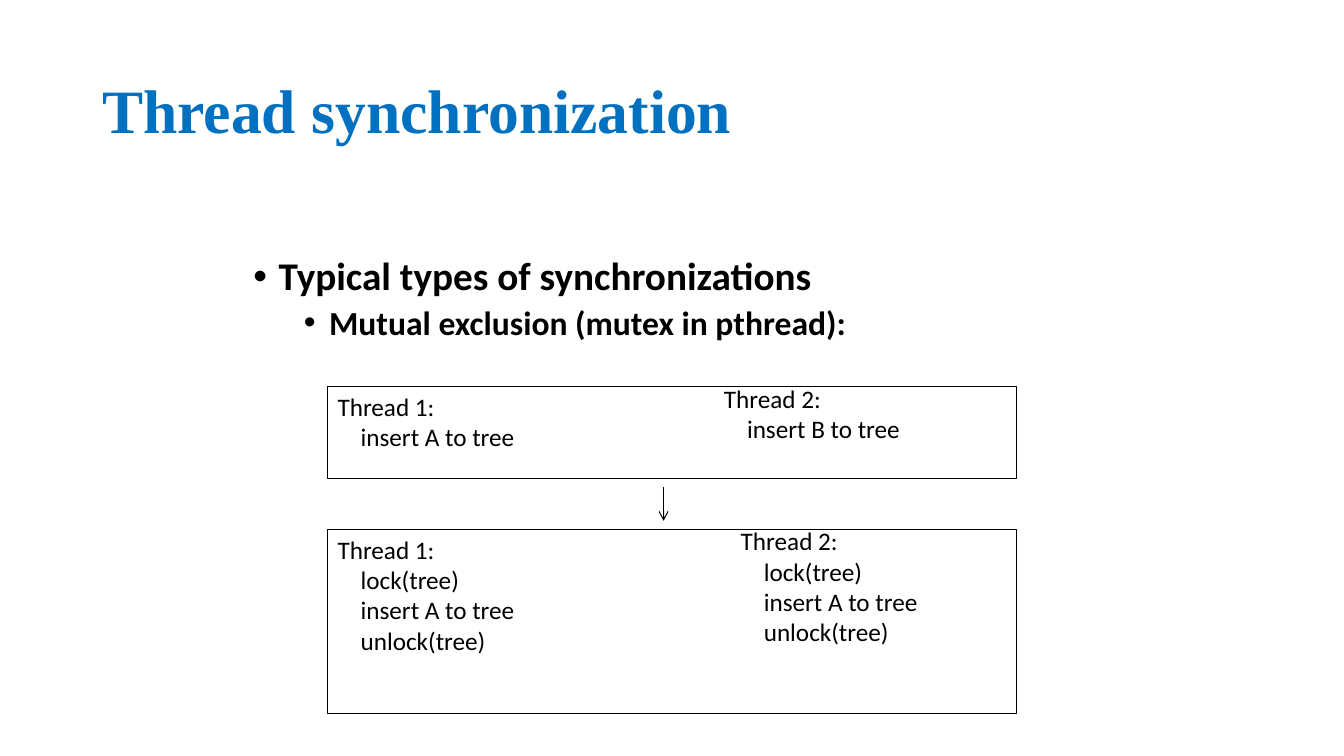
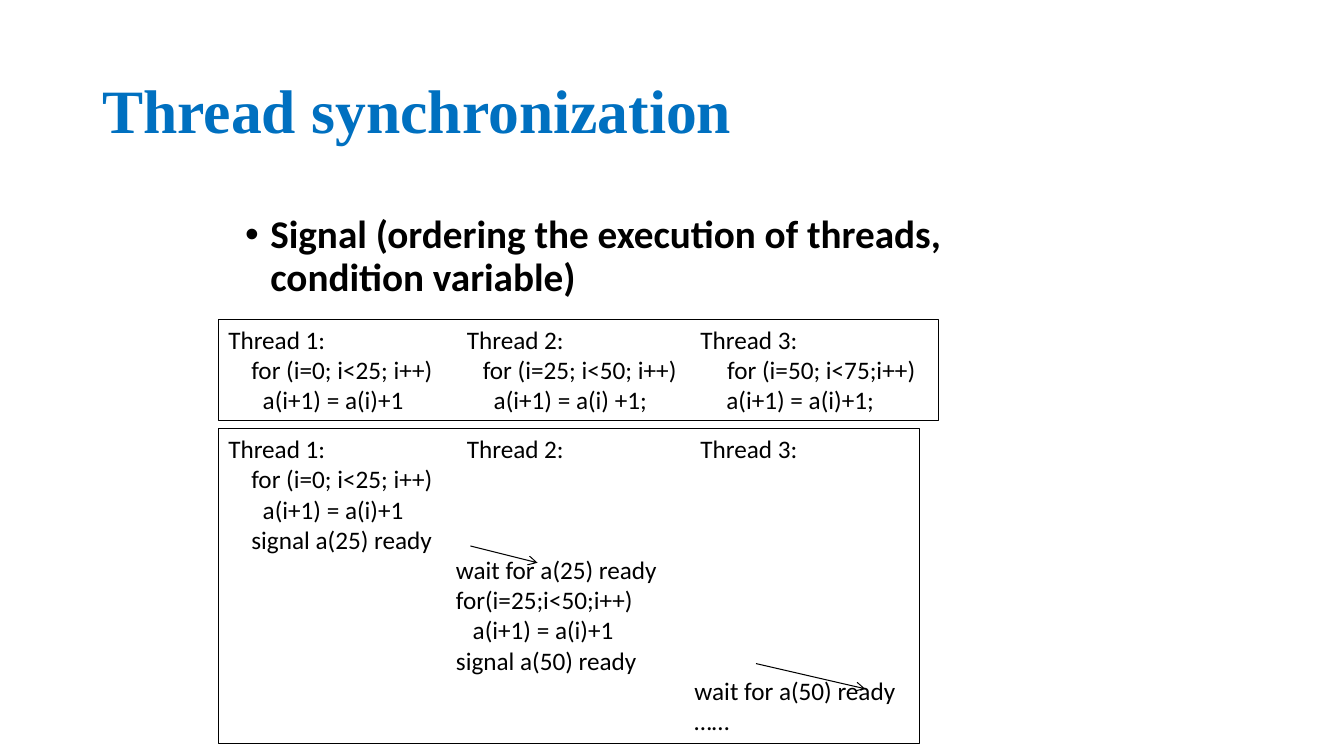
import pptx
import pptx.util
import pptx.dml.color
import pptx.enum.shapes
import pptx.enum.text
import pptx.oxml.ns
import lxml.etree

HUES = {"title": "0070C0", "ink": "000000"}
FONTS = {"title": "Times New Roman", "body": "Calibri"}
COLS, ROWS = 160, 90
UNIT = pptx.util.Inches(1) // 12


class Deck:
    """Holds the shared style and the current slide, on a grid of 160 by 90."""

    def __init__(self):
        self.show = pptx.Presentation()
        self.show.slide_width = COLS * UNIT
        self.show.slide_height = ROWS * UNIT
        self.slide = None

    def size(self, *cells):
        return [pptx.util.Emu(round(cell * UNIT)) for cell in cells]

    def hue(self, name):
        return pptx.dml.color.RGBColor.from_string(HUES[name])

    def page(self, title):
        self.slide = self.show.slides.add_slide(self.show.slide_layouts[6])
        frame = self.frame(11, 4.8, 138, 17.4)
        frame.vertical_anchor = pptx.enum.text.MSO_ANCHOR.MIDDLE
        para = frame.paragraphs[0]
        para.line_spacing = 0.9
        self.run(para, title, 44, True, "title", "title")

    def frame(self, *place):
        frame = self.slide.shapes.add_textbox(*self.size(*place)).text_frame
        frame.word_wrap = True
        return frame

    def run(self, para, text, size, bold=False, face="body", hue="ink"):
        run = para.add_run()
        run.text = text
        run.font.size = pptx.util.Pt(size)
        run.font.bold = bold
        run.font.name = FONTS[face]
        run.font.color.rgb = self.hue(hue)

    def paras(self, frame, items):
        for num, item in enumerate(items):
            yield (frame.add_paragraph() if num else frame.paragraphs[0]), item

    def child(self, node, tag, **attrs):
        return lxml.etree.SubElement(node, pptx.oxml.ns.qn(tag), attrs)

    def points(self, place, items):
        for para, (level, text) in self.paras(self.frame(*place), items):
            para.level = level
            para.line_spacing = 0.9
            para.space_before = pptx.util.Pt(5 if level else 10)
            props = para._p.get_or_add_pPr()
            left, hang = self.size(3 + 6 * level, -3)
            props.set("marL", str(left))
            props.set("indent", str(hang))
            self.child(props, "a:buFont", typeface="Arial")
            self.child(props, "a:buChar", char="•")
            self.run(para, text, 24 if level else 28, True)

    def code(self, frame, lines):
        """Writes lines of (column, text) pairs, set apart by tab stops."""
        for para, line in self.paras(frame, lines):
            para.alignment = pptx.enum.text.PP_ALIGN.LEFT
            stops = [col for col, _ in line if col]
            if stops:
                tabs = self.child(para._p.get_or_add_pPr(), "a:tabLst")
                for stop in self.size(*stops):
                    self.child(tabs, "a:tab", pos=str(stop), algn="l")
            for col, text in line:
                self.run(para, "\t" + text if col else text, 18)

    def stroke(self, line):
        line.color.rgb = self.hue("ink")
        line.width = pptx.util.Pt(0.75)

    def box(self, *place, lines=()):
        kind = pptx.enum.shapes.MSO_SHAPE.RECTANGLE
        box = self.slide.shapes.add_shape(kind, *self.size(*place))
        box.shadow.inherit = False
        box.fill.background()
        self.stroke(box.line)
        frame = box.text_frame
        frame.word_wrap = True
        frame.vertical_anchor = pptx.enum.text.MSO_ANCHOR.TOP
        self.code(frame, lines)

    def arrow(self, *ends):
        kind = pptx.enum.shapes.MSO_CONNECTOR.STRAIGHT
        link = self.slide.shapes.add_connector(kind, *self.size(*ends))
        self.stroke(link.line)
        self.child(link.line._get_or_add_ln(), "a:tailEnd", type="arrow")
        self.child(link._element.spPr, "a:effectLst")


def mutex(deck):
    deck.page("Thread synchronization")
    deck.points((29, 30, 102, 50), [
        (0, "Typical types of synchronizations"),
        (1, "Mutual exclusion (mutex in pthread):"),
    ])
    deck.box(39, 46, 82, 11)
    deck.box(39, 63, 82, 22)
    locked = ["lock(tree)", "insert A to tree", "unlock(tree)"]
    for left, top, name, steps in [
        (39, 46, "Thread 1:", ["insert A to tree"]),
        (85, 45, "Thread 2:", ["insert B to tree"]),
        (39, 63, "Thread 1:", locked),
        (87, 62, "Thread 2:", locked),
    ]:
        frame = deck.frame(left, top, 26, 4.8 + 3.6 * len(steps))
        deck.code(frame, [[(0, name)]] + [[(2.75, step)] for step in steps])
    deck.arrow(79, 58, 79, 62)


def signal(deck):
    deck.page("Thread synchronization")
    deck.points((28, 25, 102, 50), [
        (0, "Signal (ordering the execution of threads, condition variable)"),
    ])
    heads = [(0, "Thread 1:"), (28.4, "Thread 2:"), (56.2, "Thread 3:")]
    loop = (2.75, "for (i=0; i<25; i++)")
    step = (4.1, "a(i+1) = a(i)+1")
    deck.box(26, 38, 85.7, 12.1, lines=[
        heads,
        [loop, (30.3, "for (i=25; i<50; i++)"), (59.4, "for (i=50; i<75;i++)")],
        [step, (31.6, "a(i+1) = a(i) +1;"), (59.3, "a(i+1) = a(i)+1;")],
    ])
    deck.box(26, 51, 83.5, 37.5, lines=[
        heads,
        [loop],
        [step],
        [(2.75, "signal a(25) ready")],
        [(27.1, "wait for a(25) ready")],
        [(27.1, "for(i=25;i<50;i++)")],
        [(29.1, "a(i+1) = a(i)+1")],
        [(27.1, "signal a(50) ready")],
        [(55.5, "wait for a(50) ready")],
        [(55.5, "……")],
    ])
    deck.arrow(90, 79, 103, 82)
    deck.arrow(56, 65, 64, 67)


def main():
    deck = Deck()
    mutex(deck)
    signal(deck)
    deck.show.save("out.pptx")


if __name__ == "__main__":
    main()
